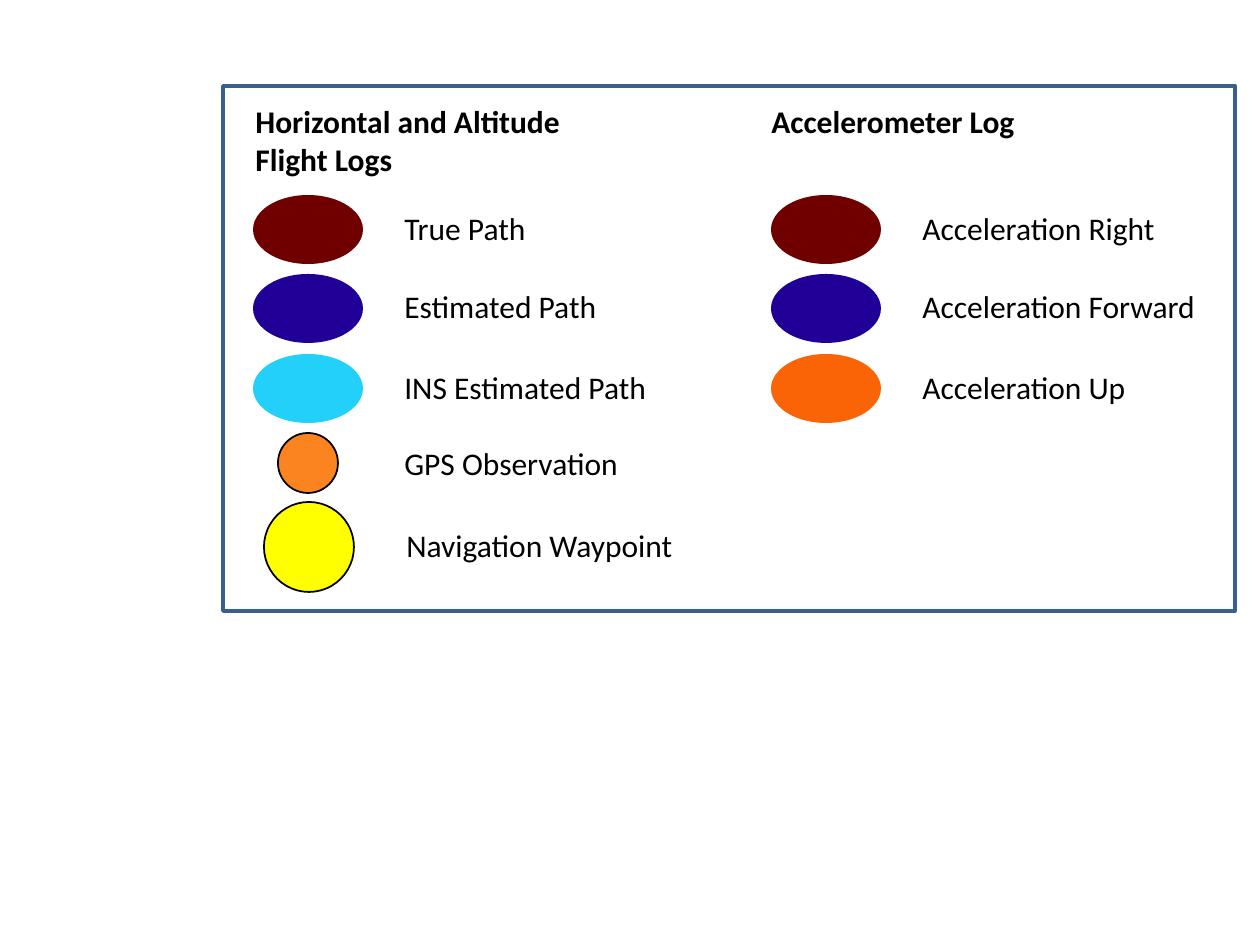
import pptx
import pptx.util
import pptx.dml.color
import pptx.enum.shapes
import pptx.enum.text

COLOURS = {
    "text": "000000", "frame": "3A5F8C", "maroon": "700000", "indigo": "200096",
    "cyan": "23D0F9", "orange": "FA6306", "amber": "FC8420", "yellow": "FFFF00",
}
SHAPES = pptx.enum.shapes.MSO_SHAPE


def px(length):
    """Turn picture pixels into EMU."""
    return pptx.util.Emu(length * 914400 // 126)


def rgb(name):
    """Look up a colour by its name."""
    return pptx.dml.color.RGBColor.from_string(COLOURS[name])


class LegendSlide:
    """Holds the text style and the slide being drawn."""

    font, size = "Calibri", 18

    def __init__(self, slide):
        """Keep the slide to draw on."""
        self.slide = slide

    def shape(self, kind, box, fill=None, line=None, weight=1):
        """Add a preset shape with optional fill and outline."""
        shape = self.slide.shapes.add_shape(kind, *map(px, box))
        shape.shadow.inherit = False
        if fill:
            shape.fill.solid()
            shape.fill.fore_color.rgb = rgb(fill)
        else:
            shape.fill.background()
        if line:
            shape.line.color.rgb = rgb(line)
            shape.line.width = pptx.util.Pt(weight)
        else:
            shape.line.fill.background()

    def text(self, left, top, width, lines, bold=False):
        """Add an unwrapped text box with one paragraph per line."""
        height = 12 + 38 * len(lines)
        frame = self.slide.shapes.add_textbox(*map(px, (left, top, width, height))).text_frame
        frame.word_wrap = False
        frame.auto_size = pptx.enum.text.MSO_AUTO_SIZE.SHAPE_TO_FIT_TEXT
        frame.text = "\n".join(lines)
        for paragraph in frame.paragraphs:
            paragraph.font.name = self.font
            paragraph.font.size = pptx.util.Pt(self.size)
            paragraph.font.bold = bold
            paragraph.font.color.rgb = rgb("text")

    def path_rows(self, left, rows):
        """Add a column of equally spaced colour swatches with labels."""
        for index, (colour, label, top, width) in enumerate(rows):
            self.shape(SHAPES.OVAL, (left, 195 + index * 159 // 2, 110, 69), colour)
            self.text(left + 139, top, width, [label])

    def marker_row(self, centre, diameter, colour, label, label_box):
        """Add an outlined round marker with its label."""
        x, y = centre
        box = (x - diameter // 2, y - diameter // 2, diameter, diameter)
        self.shape(SHAPES.OVAL, box, colour, "text")
        self.text(*label_box, [label])


presentation = pptx.Presentation()
presentation.slide_width, presentation.slide_height = px(1260), px(945)
legend = LegendSlide(presentation.slides.add_slide(presentation.slide_layouts[6]))

legend.shape(SHAPES.RECTANGLE, (223, 86, 1012, 525), line="frame", weight=2)

legend.text(243, 96, 382, ["Horizontal and Altitude ", "Flight Logs"], bold=True)
legend.path_rows(253, [
    ("maroon", "True Path", 203, 164),
    ("indigo", "Estimated Path", 281, 241),
    ("cyan", "INS Estimated Path", 362, 302),
])
legend.marker_row((308, 463), 60, "amber", "GPS Observation", (392, 438, 273))
legend.marker_row((309, 547), 90, "yellow", "Navigation Waypoint", (394, 520, 316))

legend.text(759, 96, 314, ["Accelerometer Log"], bold=True)
legend.path_rows(771, [
    ("maroon", "Acceleration Right", 203, 284),
    ("indigo", "Acceleration Forward", 281, 326),
    ("orange", "Acceleration Up", 362, 249),
])

presentation.save("out.pptx")
